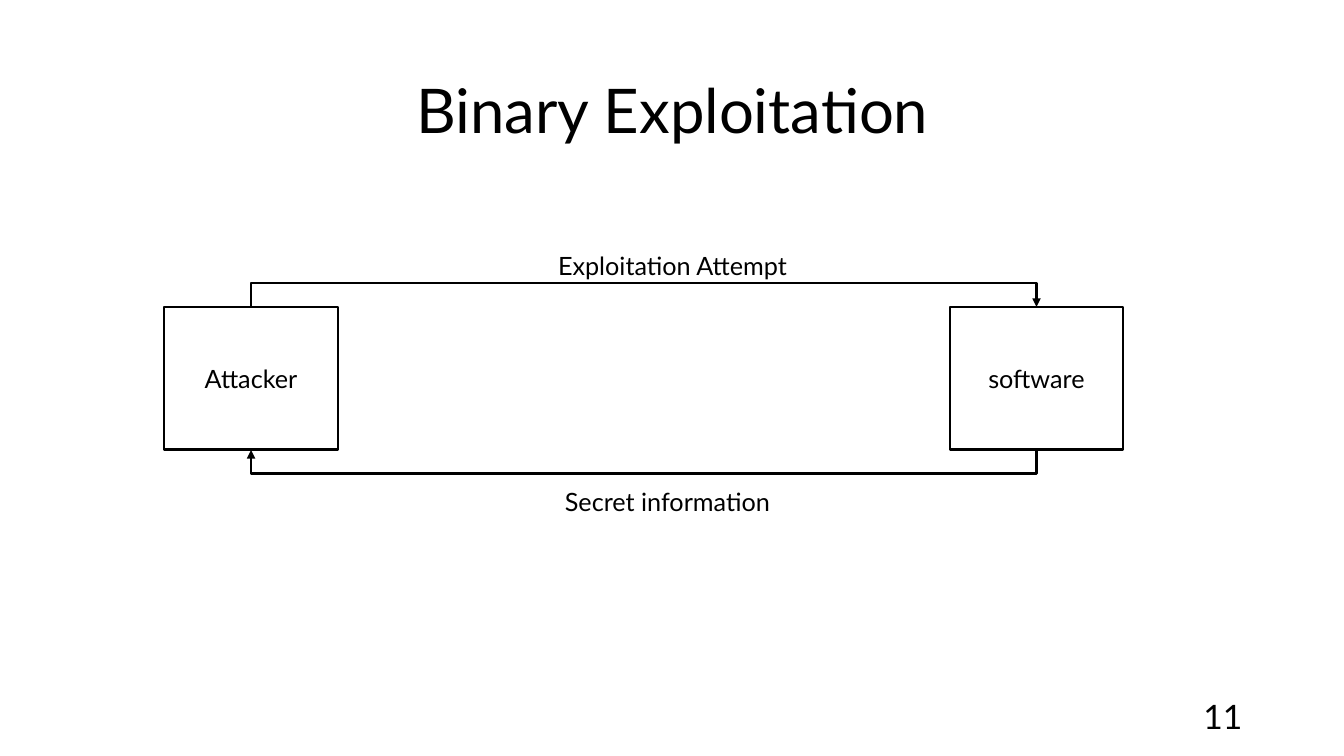
from dataclasses import dataclass

from lxml.etree import SubElement
from pptx import Presentation
from pptx.dml.color import RGBColor
from pptx.enum.shapes import MSO_CONNECTOR, MSO_SHAPE
from pptx.enum.text import MSO_ANCHOR, PP_ALIGN
from pptx.oxml.ns import qn
from pptx.util import Inches, Pt


@dataclass(frozen=True)
class Theme:
    font: str = "Lato"
    ink: RGBColor = RGBColor(0, 0, 0)
    paper: RGBColor = RGBColor(255, 255, 255)
    title_size: int = 44
    number_size: int = 24
    body_size: int = 18
    border: float = 1.5
    arrow: float = 2


class SlideBuilder:
    def __init__(self, presentation, theme):
        self.theme = theme
        self.slide = presentation.slides.add_slide(presentation.slide_layouts[5])

    def set_text(self, shape, text, size, align=PP_ALIGN.CENTER, anchor=MSO_ANCHOR.MIDDLE):
        frame = shape.text_frame
        frame.word_wrap = True
        frame.vertical_anchor = anchor
        paragraph = frame.paragraphs[0]
        paragraph.text = text
        paragraph.alignment = align
        paragraph.font.name = self.theme.font
        paragraph.font.size = Pt(size)
        paragraph.font.color.rgb = self.theme.ink
        return paragraph

    def title(self, text, left, top, width, height):
        heading = self.slide.shapes.title
        heading.left, heading.top = Inches(left), Inches(top)
        heading.width, heading.height = Inches(width), Inches(height)
        self.set_text(heading, text, self.theme.title_size).line_spacing = 0.9

    def label(self, text, left, top, width, height, size, **placement):
        caption = self.slide.shapes.add_textbox(
            Inches(left), Inches(top), Inches(width), Inches(height))
        self.set_text(caption, text, size, **placement)

    def box(self, text, left, top, width, height):
        party = self.slide.shapes.add_shape(
            MSO_SHAPE.RECTANGLE, Inches(left), Inches(top), Inches(width), Inches(height))
        party.shadow.inherit = False
        party.fill.solid()
        party.fill.fore_color.rgb = self.theme.paper
        party.line.color.rgb = self.theme.ink
        party.line.width = Pt(self.theme.border)
        self.set_text(party, text, self.theme.body_size)
        return party

    def loop_arrow(self, source, target, above, reach=0.25, depth=0.01):
        site = 0 if above else 2
        route = self.slide.shapes.add_connector(MSO_CONNECTOR.ELBOW, 0, 0, 0, 0)
        route.begin_connect(source, site)
        route.end_connect(target, site)
        start, end = (party.left + party.width // 2 for party in (source, target))
        edge = source.top if above else source.top + source.height
        span = abs(end - start)
        route.width, route.height = Inches(depth), span
        route.left = (start + end - Inches(depth)) // 2
        route.top = edge - span // 2

        properties = route._element.spPr
        transform = properties.find(qn("a:xfrm"))
        transform.set("rot", "5400000")
        for flip in ("flipH", "flipV"):
            transform.set(flip, "1" if above else "0")
        adjustments = properties.find(qn("a:prstGeom")).get_or_add_avLst()
        SubElement(adjustments, qn("a:gd"), name="adj1",
                   fmla=f"val {round(reach / depth * 100000)}")

        route.line.color.rgb = self.theme.ink
        route.line.width = Pt(self.theme.arrow)
        SubElement(properties.find(qn("a:ln")), qn("a:tailEnd"), type="triangle")
        SubElement(properties, qn("a:effectLst"))


def main():
    presentation = Presentation()
    presentation.slide_width = Inches(13.33)
    presentation.slide_height = Inches(7.5)
    theme = Theme()
    builder = SlideBuilder(presentation, theme)

    builder.title("Binary Exploitation", 0.92, 0.4, 11.5, 1.45)
    builder.label("11", 9.42, 6.9, 3, 0.4, theme.number_size, align=PP_ALIGN.RIGHT)

    attacker, software = (
        builder.box(name, left, 3.05, 1.72, 1.41)
        for name, left in (("Attacker", 1.63), ("software", 9.42)))

    exchanges = (
        (attacker, software, True, "Exploitation Attempt", 3.39, 2.43),
        (software, attacker, False, "Secret information", 3.34, 4.78),
    )
    for source, target, above, message, left, top in exchanges:
        builder.loop_arrow(source, target, above)
        builder.label(message, left, top, 6.56, 0.4, theme.body_size, anchor=MSO_ANCHOR.TOP)

    presentation.save("out.pptx")


if __name__ == "__main__":
    main()
